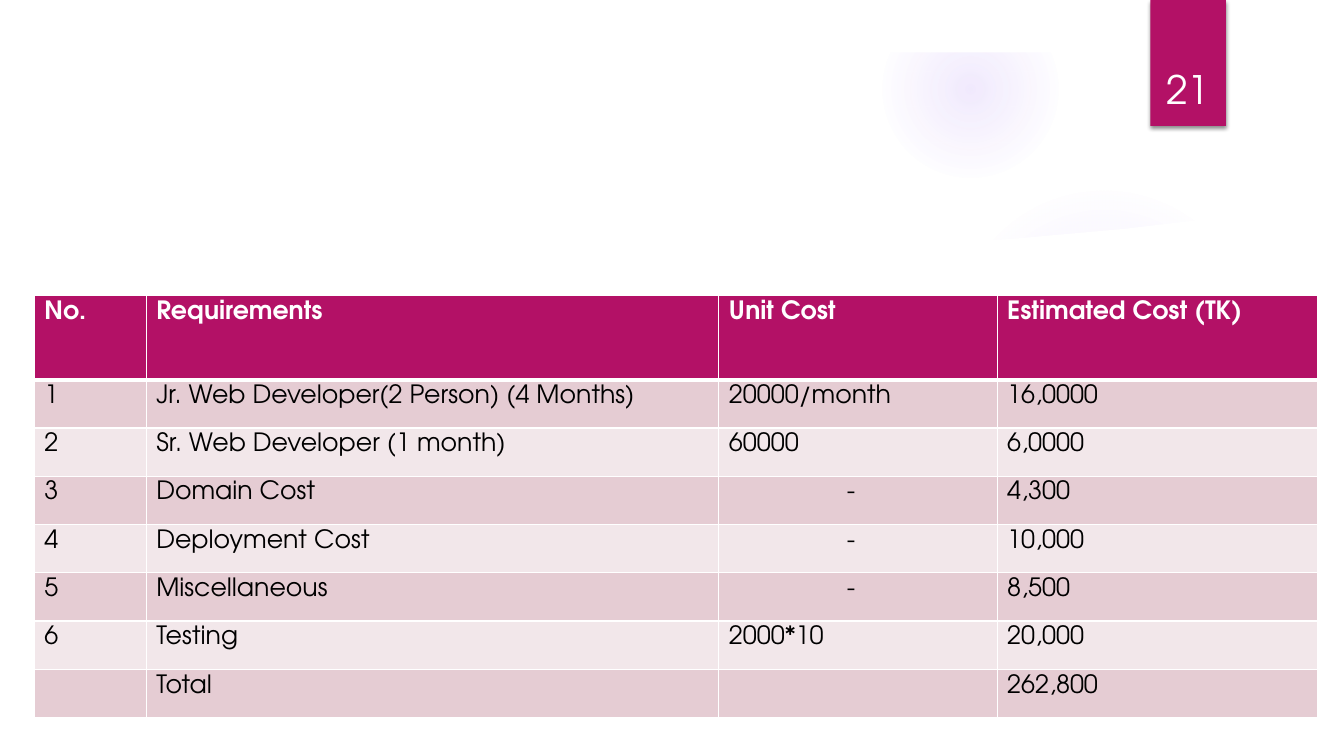
import lxml.etree
import pptx
import pptx.dml.color
import pptx.enum.shapes
import pptx.enum.text
import pptx.oxml
import pptx.oxml.ns
import pptx.util

WIDTH, HEIGHT = 13.33, 7.5
FONT = "TeX Gyre Adventor"
COLORS = {"accent": "B31166", "white": "FFFFFF", "black": "000000",
          "odd": "E5CCD3", "even": "F2E7EA", "glow": "9B6BF2"}
COLUMN_WIDTHS = (1.11, 5.68, 2.76, 3.18)
HEADER_SHARE = 0.2
COSTS = (
    ("No.", "Requirements", "Unit Cost", "Estimated Cost (TK)"),
    ("1", "Jr. Web Developer(2 Person) (4 Months)", "20000/month", "16,0000"),
    ("2", "Sr. Web Developer (1 month)", "60000", "6,0000"),
    ("3", "Domain Cost", "-", "4,300"),
    ("4", "Deployment Cost", "-", "10,000"),
    ("5", "Miscellaneous", "-", "8,500"),
    ("6", "Testing", "2000*10", "20,000"),
    ("", "Total", "", "262,800"),
)
PANEL_UNITS_PER_INCH = 100
PANEL_OUTLINE = (
    (50, 204), (216, 224), (444, 241), (708, 248), (921, 242), (1004, 237),
    (1116, 227), (1200, 217), (1284, 204), (1284, 700), (50, 700),
)


def rgb(name):
    """Return the named palette colour."""
    return pptx.dml.color.RGBColor.from_string(COLORS[name])


def color_xml(name, alpha=100):
    """Return a colour element with an opacity in percent."""
    return f'<a:srgbClr val="{COLORS[name]}"><a:alpha val="{alpha * 1000}"/></a:srgbClr>'


def drawing(tag, content, attributes=""):
    """Parse one DrawingML element."""
    namespace = pptx.oxml.ns.nsdecls("a")
    return pptx.oxml.parse_xml(f"<a:{tag} {namespace} {attributes}>{content}</a:{tag}>")


def inches(box):
    """Convert a box of inches to lengths."""
    return [pptx.util.Inches(length) for length in box]


def style_plain(shape, fill):
    """Give a shape a solid fill without line or shadow."""
    shape.shadow.inherit = False
    shape.fill.solid()
    shape.fill.fore_color.rgb = rgb(fill)
    shape.line.fill.background()


def style_text(paragraph, size, color, bold=False):
    """Set the font of a paragraph."""
    paragraph.font.name = FONT
    paragraph.font.size = pptx.util.Pt(size)
    paragraph.font.bold = bold
    paragraph.font.color.rgb = rgb(color)


def add_glow(slide, box, stops):
    """Add a circle that fades outward through (position, opacity) stops."""
    glow = slide.shapes.add_shape(pptx.enum.shapes.MSO_SHAPE.OVAL, *inches(box))
    style_plain(glow, "glow")
    stop_xml = "".join(f'<a:gs pos="{position * 1000}">{color_xml("glow", alpha)}</a:gs>'
                       for position, alpha in stops)
    center = '<a:path path="circle"><a:fillToRect l="50000" t="50000" r="50000" b="50000"/></a:path>'
    properties = glow.element.spPr
    solid = properties.find(pptx.oxml.ns.qn("a:solidFill"))
    properties.replace(solid, drawing("gradFill", f"<a:gsLst>{stop_xml}</a:gsLst>{center}"))


def add_backdrop(slide, top_margin):
    """Place the glows behind the white panel and the white top margin."""
    add_glow(slide, (9.41, 1.83, 3.08, 3.08), ((0, 7), (36, 6), (69, 0), (100, 0)))
    add_glow(slide, (8.75, 0.01, 1.75, 1.75), ((0, 14), (36, 7), (73, 0), (100, 0)))
    outline = slide.shapes.build_freeform(
        *PANEL_OUTLINE[0], scale=pptx.util.Inches(1) / PANEL_UNITS_PER_INCH)
    outline.add_line_segments(PANEL_OUTLINE[1:], close=True)
    style_plain(outline.convert_to_shape(), "white")
    margin = slide.shapes.add_shape(pptx.enum.shapes.MSO_SHAPE.RECTANGLE,
                                    *inches((0, 0, WIDTH, top_margin)))
    style_plain(margin, "white")


def add_page_tab(slide, box, number):
    """Add the shadowed tab with the page number near its foot."""
    left, top, width, height = box
    tab = slide.shapes.add_shape(pptx.enum.shapes.MSO_SHAPE.RECTANGLE, *inches(box))
    style_plain(tab, "accent")
    effects = tab.element.spPr.find(pptx.oxml.ns.qn("a:effectLst"))
    effects.append(drawing("outerShdw", color_xml("black", 45),
                           'blurRad="38100" dist="25400" dir="5400000" rotWithShape="0"'))
    label = slide.shapes.add_textbox(
        *inches((left - 0.09, top + 0.32, width + 0.17, height - 0.41)))
    label.text_frame.word_wrap = True
    label.text_frame.vertical_anchor = pptx.enum.text.MSO_ANCHOR.BOTTOM
    paragraph = label.text_frame.paragraphs[0]
    paragraph.text = number
    paragraph.alignment = pptx.enum.text.PP_ALIGN.CENTER
    style_text(paragraph, 28, "white")


def style_cell(cell, text, row):
    """Fill one cost cell, set its text and draw its white borders."""
    header = row == 0
    cell.margin_top = cell.margin_bottom = pptx.util.Inches(0.05)
    cell.margin_left = pptx.util.Inches(1.27 if text == "-" else 0.1)
    cell.margin_right = pptx.util.Inches(0.1)
    cell.text = text
    style_text(cell.text_frame.paragraphs[0], 18, "white" if header else "black", header)
    cell.fill.solid()
    cell.fill.fore_color.rgb = rgb("accent" if header else "odd" if row % 2 else "even")
    properties = cell._tc.get_or_add_tcPr()
    for index, side in enumerate(("lnL", "lnR", "lnT", "lnB")):
        thick = (header and side == "lnB") or (row == 1 and side == "lnT")
        points = 3 if thick else 1
        properties.insert(index, drawing(
            side, f'<a:solidFill>{color_xml("white")}</a:solidFill>', f'w="{points * 12700}"'))


def add_cost_table(slide, box):
    """Add the cost table with a tall header and equal body rows."""
    left, top, width, height = box
    frame = slide.shapes.add_table(len(COSTS), len(COLUMN_WIDTHS), *inches(box))
    table = frame.table
    for column, share in zip(table.columns, COLUMN_WIDTHS):
        column.width = pptx.util.Inches(width * share / sum(COLUMN_WIDTHS))
    header_height = height * HEADER_SHARE
    body_height = (height - header_height) / (len(COSTS) - 1)
    for row, texts in enumerate(COSTS):
        table.rows[row].height = pptx.util.Inches(body_height if row else header_height)
        for column, text in enumerate(texts):
            style_cell(table.cell(row, column), text, row)


def main():
    """Build the cost estimate slide."""
    deck = pptx.Presentation()
    deck.slide_width, deck.slide_height = inches((WIDTH, HEIGHT))
    slide = deck.slides.add_slide(deck.slide_layouts[6])
    add_backdrop(slide, 0.52)
    add_page_tab(slide, (11.41, 0, 0.75, 1.25), "21")
    add_cost_table(slide, (0.34, 2.93, 12.73, 4.19))
    deck.save("out.pptx")


if __name__ == "__main__":
    main()
